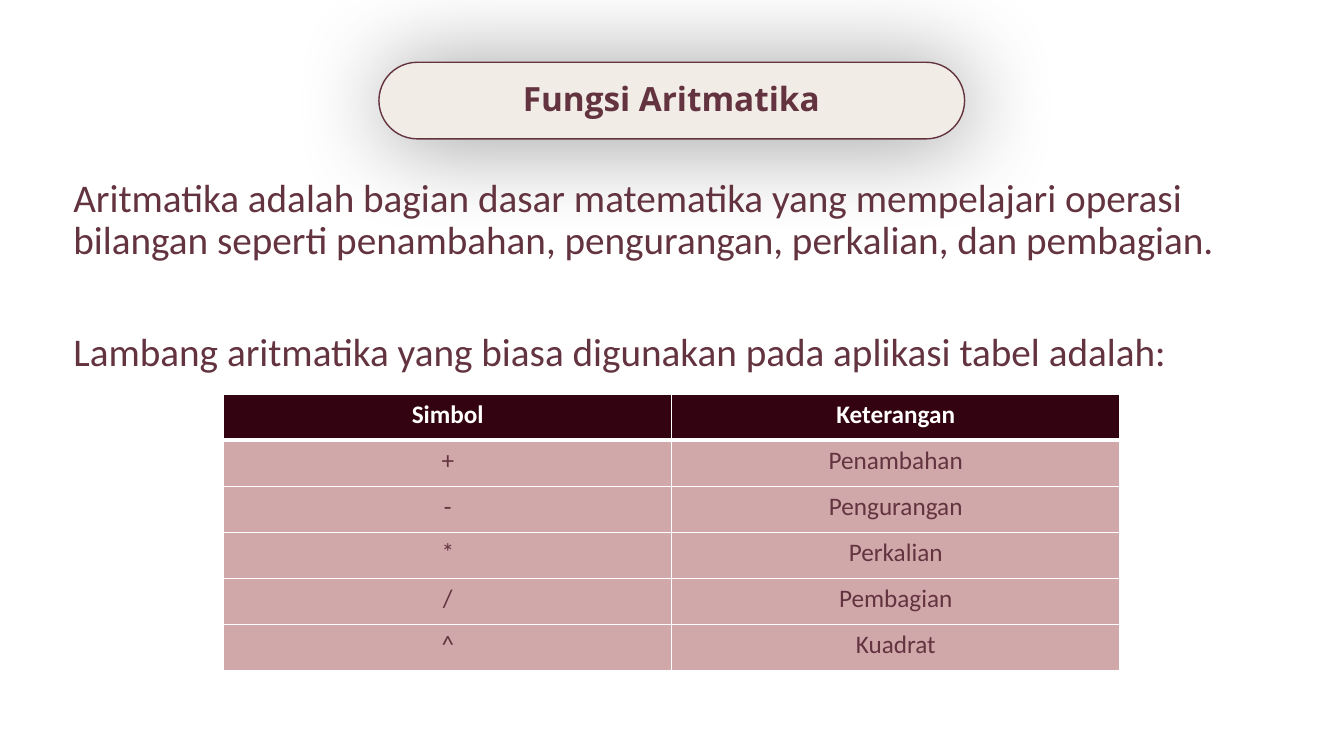
"""Build the slide about arithmetic symbols."""
from lxml.etree import SubElement as Sub
from pptx import Presentation
from pptx.dml.color import RGBColor as Rgb
from pptx.enum.shapes import MSO_SHAPE as Form
from pptx.enum.text import MSO_ANCHOR as Anchor, MSO_AUTO_SIZE as Auto, PP_ALIGN as Align
from pptx.oxml.ns import qn
from pptx.util import Cm, Pt

HUES = {"ink": "63333F", "cream": "F1ECE5", "head": "340311",
        "rose": "D0A8AA", "white": "FFFFFF", "black": "000000"}
TITLE = {"name": "Open Sans", "size": Pt(23.8), "bold": True}
BODY = {"name": "Calibri", "size": Pt(28), "bold": False}
HEAD = {"name": "Calibri", "size": Pt(18), "bold": True}
CELL = {**HEAD, "bold": False}
INTRO = ("Aritmatika adalah bagian dasar matematika yang mempelajari operasi "
         "bilangan seperti penambahan, pengurangan, perkalian, dan pembagian.")
LEAD = "Lambang aritmatika yang biasa digunakan pada aplikasi tabel adalah:"
ROWS = [("Simbol", "Keterangan"), ("+", "Penambahan"), ("-", "Pengurangan"),
        ("*", "Perkalian"), ("/", "Pembagian"), ("^", "Kuadrat")]


def rgb(hue):
    return Rgb.from_string(HUES[hue])


def paint(fill, hue):
    fill.solid()
    fill.fore_color.rgb = rgb(hue)


def write(para, text, style, hue="ink", **form):
    para.text = text
    for key, value in form.items():
        setattr(para, key, value)
    font = para.runs[0].font
    for key, value in style.items():
        setattr(font, key, value)
    font.color.rgb = rgb(hue)


def set_frame(frame):
    for key, value in {"word_wrap": True, "auto_size": Auto.NONE,
                       "vertical_anchor": Anchor.TOP}.items():
        setattr(frame, key, value)


def add_glow(shape):
    shape.shadow.inherit = False
    effects = shape.element.spPr.find(qn("a:effectLst"))
    outer = Sub(effects, qn("a:outerShdw"), blurRad=str(Pt(70)),
                dist=str(Pt(3)), dir="2700000", algn="tl", rotWithShape="0")
    tint = Sub(outer, qn("a:srgbClr"), val=HUES["black"])
    Sub(tint, qn("a:alpha"), val="40000")


def add_pill(slide):
    pill = slide.shapes.add_shape(Form.ROUNDED_RECTANGLE, Cm(9.55), Cm(1.57),
                                  Cm(14.76), Cm(1.93))
    pill.adjustments[0] = 0.5
    paint(pill.fill, "cream")
    paint(pill.line.fill, "ink")
    pill.line.width = Pt(1)
    add_glow(pill)
    return pill


def set_title(slide, pill):
    title = slide.shapes.title
    title.left, title.top = Cm(10.92), Cm(2.11)
    title.width, title.height = Cm(11.99), Cm(1.02)
    set_frame(title.text_frame)
    write(title.text_frame.paragraphs[0], "Fungsi Aritmatika", TITLE,
          alignment=Align.CENTER, line_spacing=0.7)
    title.element.addprevious(pill.element)


def add_body(slide):
    box = slide.shapes.add_textbox(Cm(1.6), Cm(4.37), Cm(30.63), Cm(12.57))
    frame = box.text_frame
    set_frame(frame)
    write(frame.paragraphs[0], INTRO, BODY, line_spacing=0.9)
    write(frame.add_paragraph(), LEAD, BODY, line_spacing=0.9,
          space_before=Pt(50))


def add_edge(cell, side, width):
    line = Sub(cell._tc.get_or_add_tcPr(), qn(f"a:ln{side}"), w=str(Pt(width)))
    Sub(Sub(line, qn("a:solidFill")), qn("a:srgbClr"), val=HUES["white"])


def add_grid(slide):
    high = Cm(1.16)
    grid = slide.shapes.add_table(len(ROWS), 2, Cm(5.64), Cm(9.93), Cm(22.58),
                                  high * len(ROWS)).table
    for r, row in enumerate(ROWS):
        grid.rows[r].height = high
        style, hue, back = ((CELL, "ink", "rose") if r
                            else (HEAD, "white", "head"))
        for c, text in enumerate(row):
            cell = grid.cell(r, c)
            for side in "LRTB":
                thick = (r, side) in [(0, "B"), (1, "T")]
                add_edge(cell, side, 3 if thick else 1)
            paint(cell.fill, back)
            write(cell.text_frame.paragraphs[0], text, style, hue,
                  alignment=Align.CENTER)


def main():
    deck = Presentation()
    deck.slide_width, deck.slide_height = Cm(33.87), Cm(19.05)
    slide = deck.slides.add_slide(deck.slide_layouts[5])
    paint(slide.background.fill, "white")
    set_title(slide, add_pill(slide))
    add_body(slide)
    add_grid(slide)
    deck.save("out.pptx")


if __name__ == "__main__":
    main()
